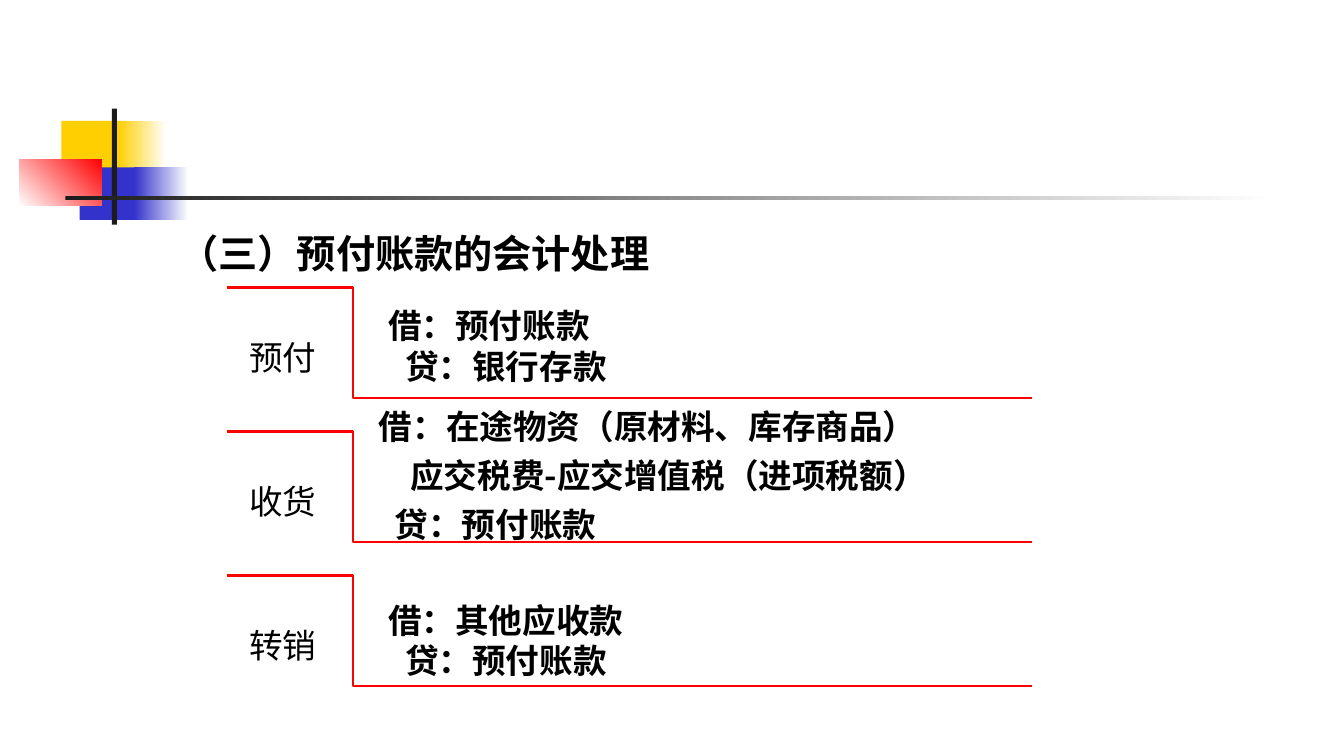
from lxml.etree import SubElement
from pptx import Presentation
from pptx.dml.color import RGBColor
from pptx.enum.shapes import MSO_SHAPE as Shape
from pptx.enum.text import MSO_ANCHOR as Anchor, MSO_AUTO_SIZE as AutoSize, PP_ALIGN as Align
from pptx.oxml.ns import qn
from pptx.util import Cm, Pt

SC, JP = "Noto Sans CJK SC", "Noto Sans CJK JP"
BLACK, WHITE, RED = "000000", "FFFFFF", "FF0000"
YELLOW, BLUE, DARK = "FFCF01", "3333CC", "1C1C1C"

HEADING = {"size": Pt(28), "bold": True, "name": SC}
LABEL = {"size": Pt(24), "bold": False, "name": SC}
ENTRY = {"size": Pt(24), "bold": True, "name": JP}

# Left, top, width, height in cm; fill colours; gradient angle
ORNAMENT = [
    ((1.55, 3.05, 1.63, 1.32), [YELLOW], 0),
    ((2.97, 3.05, 1.22, 1.32), [YELLOW, WHITE], 0),
    ((2.01, 4.22, 1.57, 1.32), [BLUE], 0),
    ((3.38, 4.22, 1.37, 1.32), [BLUE, WHITE], 0),
    ((0.48, 4.01, 2.08, 1.17), [WHITE, RED], 45),
    ((2.82, 2.74, 0.13, 2.92), [DARK], 0),
    ((1.65, 4.95, 30.48, 0.08), [DARK, WHITE], 0),
]

# Label; entry box relative to its step; space before in points; (indent in cm, text)
STEPS = [
    ("预付", (3.81, 0.32, 12.7, 2.31), 0,
     [(0, "借：预付账款"), (0.43, "贷：银行存款")]),
    ("收货", (3.58, -0.77, 14.83, 3.25), 6,
     [(0, "借：在途物资（原材料、库存商品）"),
      (0.79, "应交税费-应交增值税（进项税额）"),
      (0.4, "贷：预付账款")]),
    ("转销", (3.81, 0.48, 12.7, 1.96), 0,
     [(0, "借：其他应收款"), (0.43, "贷：预付账款")]),
]


def color(value):
    return RGBColor.from_string(value)


def set_text(para, text, style, line_height):
    para.line_spacing = Pt(line_height)
    span = para.add_run()
    span.text = text
    for key, value in style.items():
        setattr(span.font, key, value)
    span.font.color.rgb = color(BLACK)
    SubElement(span._r.get_or_add_rPr(), qn("a:ea"), typeface=style["name"])


def set_indent(para, indent):
    """Indent the whole paragraph and switch its bullet off."""
    properties = para._p.get_or_add_pPr()
    properties.set("marL", str(Cm(indent)))
    properties.set("indent", "0")
    SubElement(properties, qn("a:buNone"))


def add_ornament(page):
    for box, fills, angle in ORNAMENT:
        block = page.shapes.add_shape(Shape.RECTANGLE, *map(Cm, box))
        block.shadow.inherit = False
        block.line.fill.background()
        if len(fills) == 1:
            block.fill.solid()
            block.fill.fore_color.rgb = color(fills[0])
            continue
        block.fill.gradient()
        block.fill.gradient_angle = angle
        for stop, position, value in zip(block.fill.gradient_stops, (0, 1), fills):
            stop.position = position
            stop.color.rgb = color(value)


def add_heading(page, box):
    title = page.shapes.title
    title._element.getparent().remove(title._element)
    body = page.placeholders[1]
    body.left, body.top, body.width, body.height = map(Cm, box)
    body.text_frame.auto_size = AutoSize.NONE
    para = body.text_frame.paragraphs[0]
    set_indent(para, 0)
    para.space_before = Pt(0)
    set_text(para, "（三）预付账款的会计处理", HEADING, 35)


def add_bracket(page, left, top, width, height):
    bend = left + 3.18
    points = [(bend, top), (bend, top + height), (left + width, top + height)]
    builder = page.shapes.build_freeform(Cm(left), Cm(top))
    builder.add_line_segments([(Cm(x), Cm(y)) for x, y in points], close=False)
    bracket = builder.convert_to_shape()
    bracket.shadow.inherit = False
    bracket.fill.background()
    bracket.line.color.rgb = color(RED)
    bracket.line.width = Pt(1.75)


def add_label(page, box, text):
    frame = page.shapes.add_textbox(*map(Cm, box)).text_frame
    layout = {"word_wrap": True, "vertical_anchor": Anchor.MIDDLE, "margin_left": 0,
              "margin_right": 0, "margin_top": 0, "margin_bottom": 0}
    for key, value in layout.items():
        setattr(frame, key, value)
    frame.paragraphs[0].alignment = Align.CENTER
    set_text(frame.paragraphs[0], text, LABEL, 29)


def add_entries(page, box, space, lines):
    frame = page.shapes.add_textbox(*map(Cm, box)).text_frame
    frame.word_wrap = True
    for number, (indent, text) in enumerate(lines):
        para = frame.add_paragraph() if number else frame.paragraphs[0]
        set_indent(para, indent)
        if number:
            para.space_before = Pt(space)
        set_text(para, text, ENTRY, 29)


def add_step(page, box, label, entry_box, space, lines):
    left, top, width, height = box
    add_bracket(page, left, top, width, height)
    add_label(page, (left, top + 1.24, 2.82, 1.02), label)
    x, y, entry_width, entry_height = entry_box
    add_entries(page, (left + x, top + y, entry_width, entry_height), space, lines)


def main():
    deck = Presentation()
    deck.slide_width, deck.slide_height = Cm(33.87), Cm(19.05)
    page = deck.slides.add_slide(deck.slide_layouts[1])
    add_ornament(page)
    add_heading(page, (4.27, 5.61, 15.34, 1.65))
    for number, step in enumerate(STEPS):
        add_step(page, (5.72, 7.24 + number * 3.63, 20.3, 2.79), *step)
    deck.save("out.pptx")


if __name__ == "__main__":
    main()
